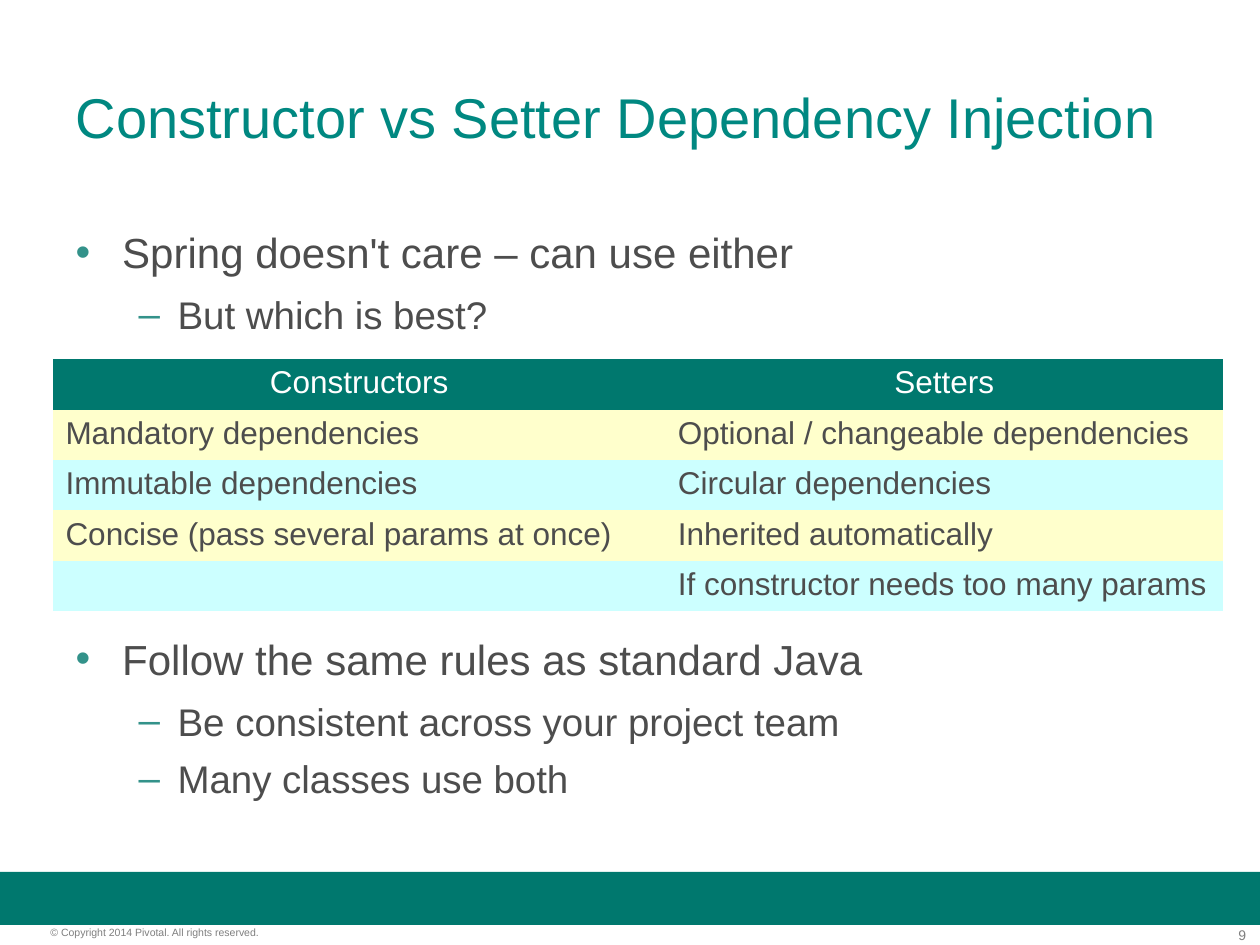
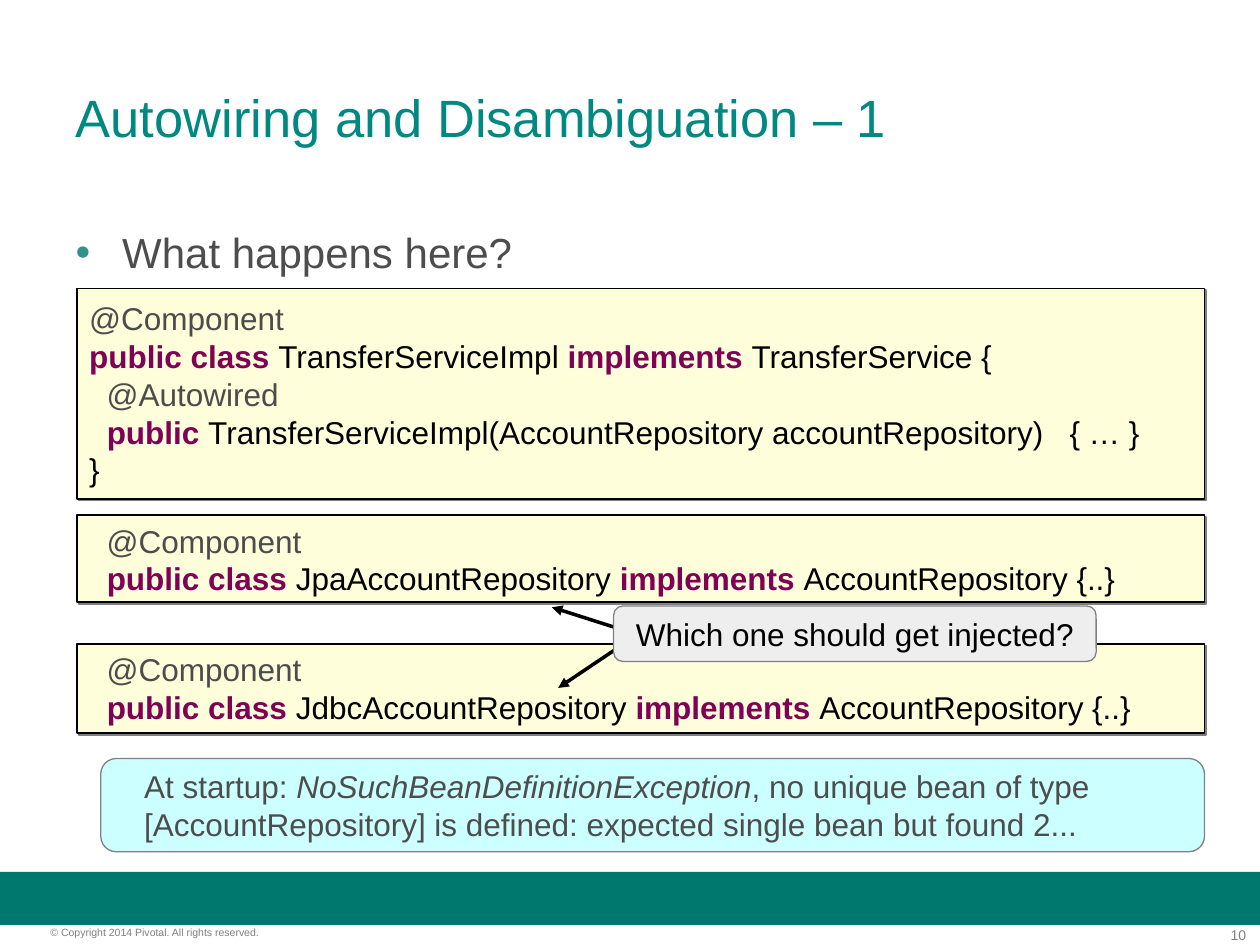
from itertools import groupby

from lxml import etree
from pptx import Presentation
from pptx.dml.color import RGBColor
from pptx.enum.shapes import MSO_CONNECTOR, MSO_SHAPE
from pptx.enum.text import MSO_ANCHOR, MSO_AUTO_SIZE, PP_ALIGN
from pptx.oxml.ns import qn
from pptx.util import Inches, Pt

COLORS = {
    "band": "00786E", "title": "008881", "bullet": "33928A", "text": "4D4D4D",
    "footer": "7F7F7F", "white": "FFFFFF", "black": "000000", "gray": "808080",
    "yellow": "FFFFCC", "cyan": "CCFFFF", "code": "FEFFDA", "callout": "EEEEEE",
    "annotation": "4C4C4C", "keyword": "7F0055",
}
FONT = "Arial"
KEYWORDS = {"public", "class", "implements"}
COPYRIGHT = "© Copyright 2014 Pivotal. All rights reserved."
PLAIN_TABLE = "{2D5ABB26-0587-4C30-8999-92F81FD0307C}"
LEVELS = [("•", 24, 0.37, 0.37), ("–", 22, 0.81, 0.31)]


def rgb(name):
    return RGBColor.from_string(COLORS[name])


def add_element(parent, tag, **attributes):
    return etree.SubElement(parent, qn(tag), {key: str(value) for key, value in attributes.items()})


class SlideBuilder:
    """Holds the deck style and draws elements on the current slide."""

    def __init__(self):
        self.deck = Presentation()
        self.deck.slide_width, self.deck.slide_height = Inches(10), Inches(7.5)

    def new_page(self, number, title, title_size, items):
        self.page = self.deck.slides.add_slide(self.deck.slide_layouts[1])
        self.title(title, title_size)
        self.bullets(items)
        self.shape(0, 6.92, 10, 0.42, "band")
        self.label(0.4, 7.35, 2.49, 0.1, COPYRIGHT, 6)
        self.label(9.31, 7.35, 0.58, 0.13, str(number), 8, PP_ALIGN.RIGHT)

    def style(self, para, size, color=None, align=PP_ALIGN.LEFT):
        para.alignment = align
        para.font.name, para.font.size = FONT, Pt(size)
        if color:
            para.font.color.rgb = rgb(color)

    def place(self, box, left, top, width, height):
        box.left, box.top = Inches(left), Inches(top)
        box.width, box.height = Inches(width), Inches(height)
        box.text_frame.auto_size = MSO_AUTO_SIZE.NONE
        return box.text_frame

    def title(self, text, size):
        frame = self.place(self.page.shapes.title, 0.5, 0.3, 9, 1.25)
        frame.vertical_anchor = MSO_ANCHOR.MIDDLE
        frame.text = text
        self.style(frame.paragraphs[0], size, "title")

    def bullets(self, items):
        frame = self.place(self.page.placeholders[1], 0.5, 1.75, 9, 4.95)
        for index, (level, text, space) in enumerate(items):
            para = frame.add_paragraph() if index else frame.paragraphs[0]
            para.text, para.level, para.space_before = text, level, Pt(space)
            mark, size, margin, hanging = LEVELS[level]
            props = para._p.get_or_add_pPr()
            props.set("marL", str(Inches(margin)))
            props.set("indent", str(-Inches(hanging)))
            color = add_element(props, "a:buClr")
            add_element(color, "a:srgbClr", val=COLORS["bullet"])
            add_element(props, "a:buFont", typeface=FONT)
            add_element(props, "a:buChar", char=mark)
            self.style(para, size, "text")

    def label(self, left, top, width, height, text, size, align=PP_ALIGN.LEFT):
        box = self.page.shapes.add_textbox(Inches(left), Inches(top), Inches(width), Inches(height))
        frame = box.text_frame
        frame.word_wrap = True
        frame.margin_left = frame.margin_right = frame.margin_top = frame.margin_bottom = 0
        frame.text = text
        self.style(frame.paragraphs[0], size, "footer", align)

    def shape(self, left, top, width, height, fill, line=None, line_width=0, kind=MSO_SHAPE.RECTANGLE):
        box = self.page.shapes.add_shape(kind, Inches(left), Inches(top), Inches(width), Inches(height))
        box.shadow.inherit = False
        box.fill.solid()
        box.fill.fore_color.rgb = rgb(fill)
        if line:
            box.line.color.rgb, box.line.width = rgb(line), Pt(line_width)
        else:
            box.line.fill.background()
        box.text_frame.word_wrap = True
        return box

    def code(self, top, height, lines, anchor=MSO_ANCHOR.TOP):
        box = self.shape(0.61, top, 8.95, height, "code", "black", 1)
        effects = box._element.spPr.find(qn("a:effectLst"))
        shadow = add_element(effects, "a:outerShdw", dist=Pt(1.4), dir=45 * 60000, algn="tl", rotWithShape=0)
        add_element(shadow, "a:srgbClr", val=COLORS["gray"])
        frame = box.text_frame
        frame.vertical_anchor = anchor
        for index, line in enumerate(lines):
            para = frame.add_paragraph() if index else frame.paragraphs[0]
            if line.strip().startswith("@"):
                para.text = line
                self.style(para, 18, "annotation")
                continue
            self.style(para, 18)
            words = line.split(" ")
            words = [word + " " for word in words[:-1]] + words[-1:]
            for is_keyword, group in groupby(words, lambda word: word.strip() in KEYWORDS):
                span = para.add_run()
                span.text = "".join(group)
                span.font.bold = is_keyword
                span.font.color.rgb = rgb("keyword" if is_keyword else "black")

    def rounded(self, left, top, width, height, fill, color, lines, align, indent=0):
        box = self.shape(left, top, width, height, fill, "gray", kind=MSO_SHAPE.ROUNDED_RECTANGLE)
        frame = box.text_frame
        frame.vertical_anchor = MSO_ANCHOR.MIDDLE
        for index, spans in enumerate(lines):
            para = frame.add_paragraph() if index else frame.paragraphs[0]
            para._p.get_or_add_pPr().set("marL", str(Inches(indent)))
            self.style(para, 18, color, align)
            for text, italic in spans:
                span = para.add_run()
                span.text = text
                if italic:
                    span.font.italic = True

    def arrow(self, start, end):
        points = [Inches(value) for value in start + end]
        line = self.page.shapes.add_connector(MSO_CONNECTOR.STRAIGHT, *points)
        line.line.color.rgb, line.line.width = rgb("black"), Pt(0)
        add_element(line.line._get_or_add_ln(), "a:tailEnd", type="triangle")
        add_element(line._element.spPr, "a:effectLst")

    def table(self, left, top, widths, row_height, rows):
        frame = self.page.shapes.add_table(
            len(rows), len(widths), Inches(left), Inches(top),
            Inches(sum(widths)), Inches(row_height * len(rows)))
        grid = frame.table
        grid.first_row = grid.horz_banding = False
        grid._tbl.tblPr.find(qn("a:tableStyleId")).text = PLAIN_TABLE
        for column, width in zip(grid.columns, widths):
            column.width = Inches(width)
        for row_index, row in enumerate(rows):
            grid.rows[row_index].height = Inches(row_height)
            header = row_index == 0
            fill = "band" if header else ("cyan", "yellow")[row_index % 2]
            for column_index, text in enumerate(row):
                cell = grid.cell(row_index, column_index)
                cell.fill.solid()
                cell.fill.fore_color.rgb = rgb(fill)
                cell.text = text
                self.style(cell.text_frame.paragraphs[0], 18, "white" if header else "text",
                           PP_ALIGN.CENTER if header else PP_ALIGN.LEFT)


def injection_page(builder):
    builder.new_page(9, "Constructor vs Setter Dependency Injection", 32, [
        (0, "Spring doesn't care – can use either", 0),
        (1, "But which is best?", 8),
        (0, "Follow the same rules as standard Java", 169),
        (1, "Be consistent across your project team", 8),
        (1, "Many classes use both", 6.5),
    ])
    builder.table(0.42, 2.85, [4.86, 4.43], 0.4, [
        ("Constructors", "Setters"),
        ("Mandatory dependencies", "Optional / changeable dependencies"),
        ("Immutable dependencies", "Circular dependencies"),
        ("Concise (pass several params at once)", "Inherited automatically"),
        ("", "If constructor needs too many params"),
    ])


def autowiring_page(builder):
    builder.new_page(10, "Autowiring and Disambiguation – 1", 30, [(0, "What happens here?", 0)])
    builder.code(2.29, 1.67, [
        "@Component",
        "public class TransferServiceImpl implements TransferService {",
        "  @Autowired",
        "  public TransferServiceImpl(AccountRepository accountRepository)   { … }",
        "}",
    ], MSO_ANCHOR.MIDDLE)
    for top, height, prefix in [(4.09, 0.69, "Jpa"), (5.11, 0.71, "Jdbc")]:
        builder.code(top, height, [
            "  @Component",
            f"  public class {prefix}AccountRepository implements AccountRepository {{..}}",
        ])
    builder.rounded(0.8, 6.02, 8.76, 0.74, "cyan", "text", [
        [("At startup: ", False), ("NoSuchBeanDefinitionException", True),
         (", no unique bean of type", False)],
        [("[AccountRepository] is defined: expected single bean but found 2...", False)],
    ], PP_ALIGN.LEFT, 0.21)
    builder.arrow((5.07, 5.04), (4.38, 4.82))
    builder.arrow((5.07, 5.03), (4.43, 5.46))
    builder.rounded(4.87, 4.81, 3.83, 0.44, "callout", "black",
                    [[("Which one should get injected?", False)]], PP_ALIGN.CENTER)


def main():
    builder = SlideBuilder()
    injection_page(builder)
    autowiring_page(builder)
    builder.deck.save("out.pptx")


if __name__ == "__main__":
    main()
